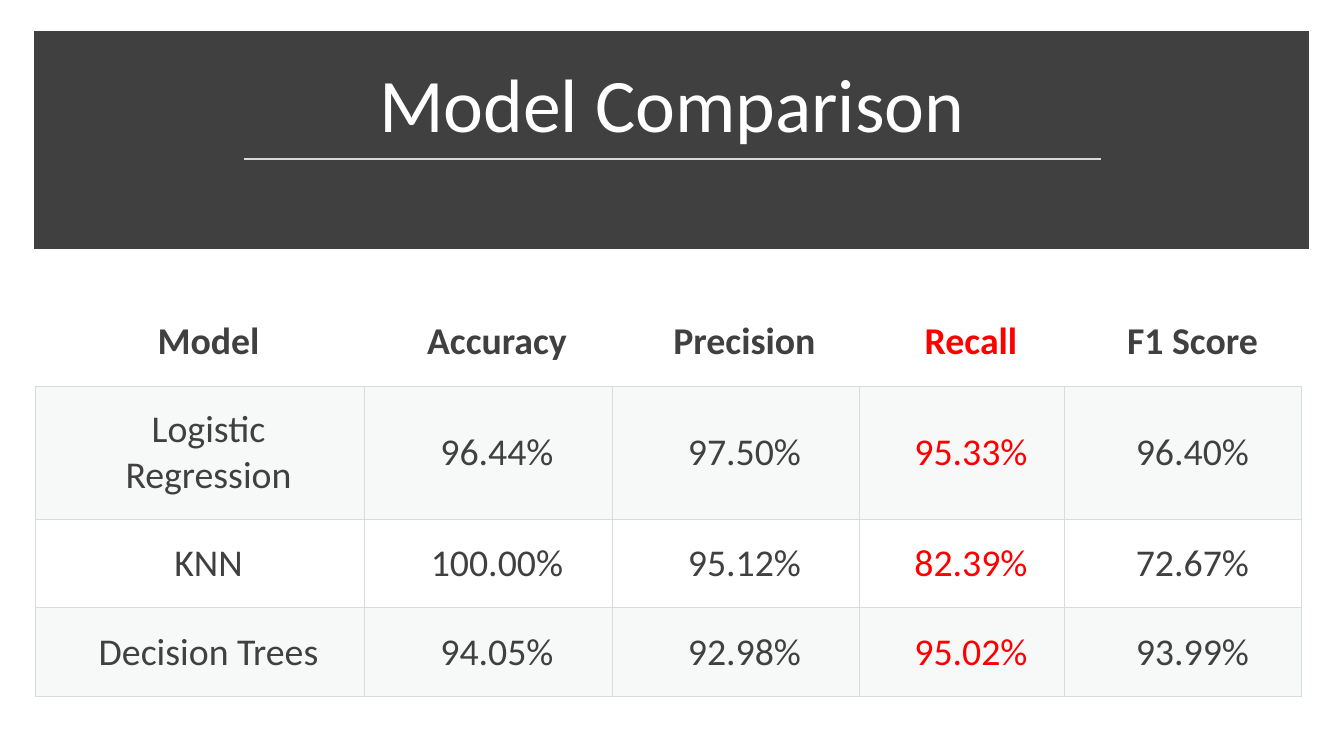
"""Build the model comparison slide with a title band and a metrics table."""
from dataclasses import dataclass

from lxml import etree
from pptx import Presentation
from pptx.dml.color import RGBColor
from pptx.enum.shapes import MSO_CONNECTOR, MSO_SHAPE
from pptx.enum.text import MSO_ANCHOR, PP_ALIGN
from pptx.oxml.ns import qn
from pptx.util import Emu, Pt

EMU_PER_INCH = 914400
PX_PER_INCH = 100.8
BLANK_LAYOUT = 6
FONT = "Calibri"
RECTANGLE = MSO_SHAPE.RECTANGLE
STRAIGHT = MSO_CONNECTOR.STRAIGHT
CENTER = PP_ALIGN.CENTER
MIDDLE = MSO_ANCHOR.MIDDLE
BOTTOM = MSO_ANCHOR.BOTTOM
COLORS = {
    "dark": "404040",
    "white": "FFFFFF",
    "rule": "D9D9D9",
    "border": "D8DCDC",
    "stripe": "D8DEDC",
    "highlight": "FF0000",
}
STRIPE_OPACITY = 20000


def px(length: int) -> Emu:
    return Emu(round(length * EMU_PER_INCH / PX_PER_INCH))


@dataclass(frozen=True)
class Box:
    left: int
    top: int
    width: int
    height: int

    def place(self) -> tuple[Emu, ...]:
        return tuple(map(px, (self.left, self.top, self.width, self.height)))


@dataclass(frozen=True)
class Column:
    width: int
    texts: tuple[str, ...]
    color: str = "dark"


BAND = Box(41, 38, 1261, 204)
TITLE = Box(58, 51, 1228, 103)
RULE = Box(244, 159, 857, 0)
TABLE_LEFT, TABLE_TOP = 35, 297
ROW_HEIGHTS = (89, 133, 89, 89)
COLUMNS = (
    Column(329, ("Model", "Logistic Regression", "KNN", "Decision Trees")),
    Column(248, ("Accuracy", "96.44%", "100.00%", "94.05%")),
    Column(247, ("Precision", "97.50%", "95.12%", "92.98%")),
    Column(206, ("Recall", "95.33%", "82.39%", "95.02%"), "highlight"),
    Column(237, ("F1 Score", "96.40%", "72.67%", "93.99%")),
)
CELL_FORMAT = {
    "vertical_anchor": MIDDLE,
    "margin_left": px(36),
    "margin_right": px(18),
    "margin_top": px(18),
    "margin_bottom": px(18),
}
TITLE_FRAME_FORMAT = {"word_wrap": True, "vertical_anchor": BOTTOM}
TABLE_FORMAT = {"first_row": False, "horz_banding": False}


def rgb(name: str) -> RGBColor:
    return RGBColor.from_string(COLORS[name])


def apply_format(target, values: dict) -> None:
    for name, value in values.items():
        setattr(target, name, value)


def write_text(frame, text: str, size: int, color: str, bold: bool = False) -> None:
    paragraph = frame.paragraphs[0]
    paragraph.alignment = CENTER
    run = paragraph.add_run()
    run.text = text
    apply_format(run.font, {"name": FONT, "size": Pt(size), "bold": bold})
    run.font.color.rgb = rgb(color)


def draw_band(slide) -> None:
    shape = slide.shapes.add_shape(RECTANGLE, *BAND.place())
    shape.shadow.inherit = False
    shape.fill.solid()
    shape.fill.fore_color.rgb = rgb("dark")
    shape.line.color.rgb = rgb("dark")
    shape.line.width = Pt(10)
    outline = shape.element.spPr.find(qn("a:ln"))
    etree.SubElement(outline, qn("a:miter"), lim="800000")


def draw_title(slide) -> None:
    frame = slide.shapes.add_textbox(*TITLE.place()).text_frame
    apply_format(frame, TITLE_FRAME_FORMAT)
    write_text(frame, "Model Comparison", 54, "white")
    frame.paragraphs[0].line_spacing = 0.9


def draw_rule(slide) -> None:
    left, top, width, height = RULE.place()
    connector = slide.shapes.add_connector(STRAIGHT, left, top, left + width, top + height)
    connector.line.color.rgb = rgb("rule")
    connector.line.width = Pt(1.75)
    etree.SubElement(connector.element.spPr, qn("a:effectLst"))


def set_borders(properties, visible_sides: str) -> None:
    for side in "LRTB":
        border = etree.SubElement(properties, qn(f"a:ln{side}"), w=str(Pt(0.75)))
        if side in visible_sides:
            fill = etree.SubElement(border, qn("a:solidFill"))
            etree.SubElement(fill, qn("a:srgbClr"), val=COLORS["border"])
        else:
            etree.SubElement(border, qn("a:noFill"))


def format_cell(cell, row: int) -> None:
    apply_format(cell, CELL_FORMAT)
    properties = cell._tc.get_or_add_tcPr()
    set_borders(properties, "LRTB" if row else "B")
    if row % 2:
        cell.fill.solid()
        cell.fill.fore_color.rgb = rgb("stripe")
        color = properties.find(qn("a:solidFill"))[0]
        etree.SubElement(color, qn("a:alpha"), val=str(STRIPE_OPACITY))
    else:
        cell.fill.background()


def draw_table(slide) -> None:
    box = Box(TABLE_LEFT, TABLE_TOP, sum(column.width for column in COLUMNS), sum(ROW_HEIGHTS))
    table = slide.shapes.add_table(len(ROW_HEIGHTS), len(COLUMNS), *box.place()).table
    apply_format(table, TABLE_FORMAT)
    for row, height in enumerate(ROW_HEIGHTS):
        table.rows[row].height = px(height)
    for index, column in enumerate(COLUMNS):
        table.columns[index].width = px(column.width)
        for row, text in enumerate(column.texts):
            cell = table.cell(row, index)
            format_cell(cell, row)
            write_text(cell.text_frame, text, 27, column.color, bold=row == 0)


def main() -> None:
    presentation = Presentation()
    apply_format(presentation, {"slide_width": px(1344), "slide_height": px(756)})
    slide = presentation.slides.add_slide(presentation.slide_layouts[BLANK_LAYOUT])
    for draw in (draw_band, draw_title, draw_rule, draw_table):
        draw(slide)
    presentation.save("out.pptx")


if __name__ == "__main__":
    main()
